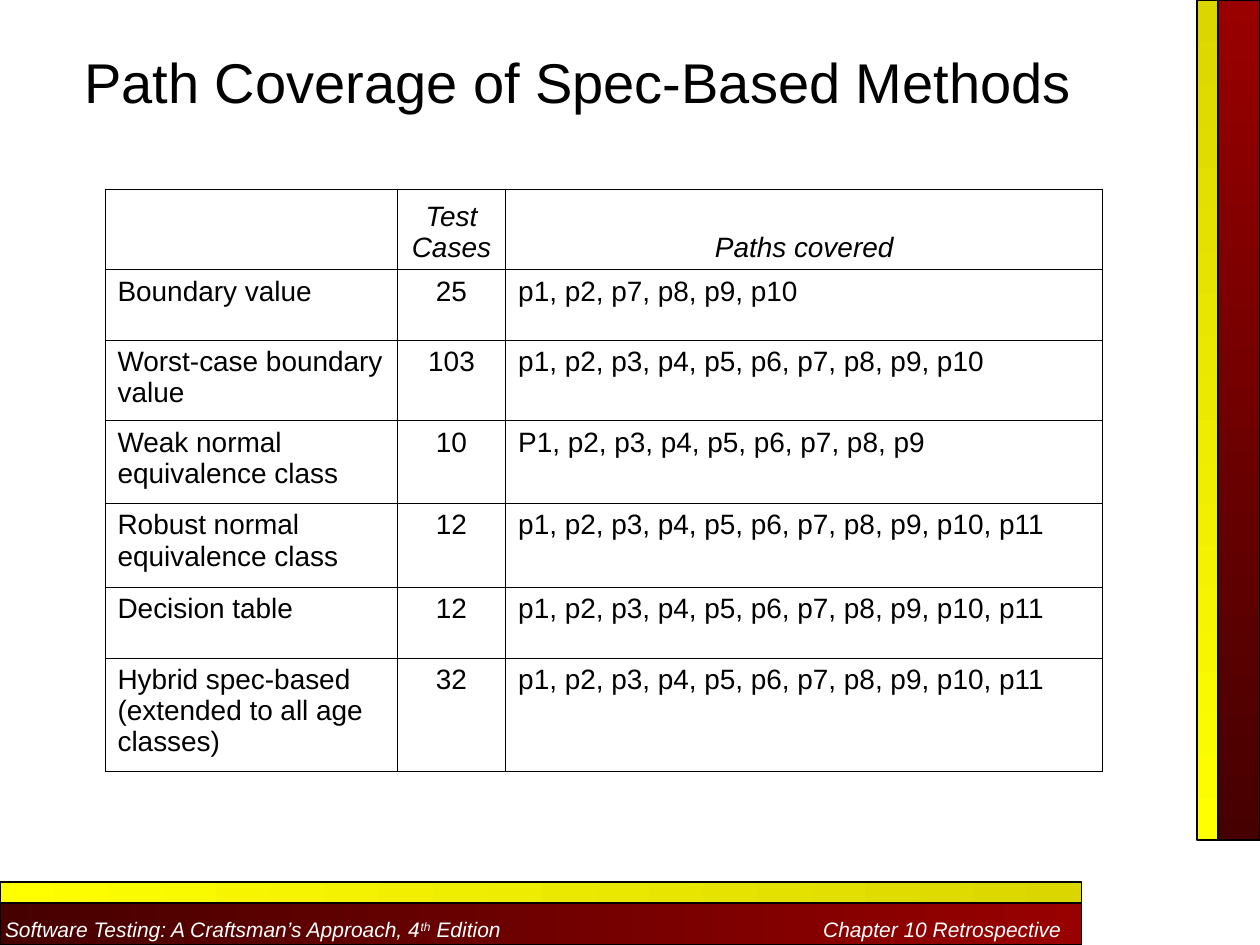
"""Build a slide with a table of path coverage by specification-based test method."""

from dataclasses import dataclass

import lxml.etree
import pptx
import pptx.dml.color
import pptx.enum.shapes
import pptx.enum.text
import pptx.oxml.ns
import pptx.util

RGBColor = pptx.dml.color.RGBColor
Align = pptx.enum.text.PP_ALIGN
Anchor = pptx.enum.text.MSO_ANCHOR
qn = pptx.oxml.ns.qn

BLACK = RGBColor(0x00, 0x00, 0x00)
WHITE = RGBColor(0xFF, 0xFF, 0xFF)
RED = RGBColor(0x99, 0x00, 0x00)
DARK_RED = RGBColor(0x46, 0x00, 0x00)
YELLOW = RGBColor(0xFF, 0xFF, 0x00)
OLIVE = RGBColor(0xDB, 0xD6, 0x00)

FONT = "Arial"
GRID_COLUMNS, GRID_ROWS = 60, 45
UNIT = pptx.util.Inches(10) // GRID_COLUMNS


@dataclass(frozen=True)
class Area:
    """A rectangle in grid columns and rows."""

    left: float
    top: float
    width: float
    height: float

    def lengths(self) -> list[int]:
        """Return left, top, width and height as slide lengths."""
        return [units(n) for n in (self.left, self.top, self.width, self.height)]


@dataclass(frozen=True)
class Bar:
    """A gradient bar running from one colour to another."""

    area: Area
    start: RGBColor
    end: RGBColor
    angle: int


@dataclass(frozen=True)
class Method:
    """A table row: test method, number of test cases and paths covered."""

    name: str
    cases: str
    paths: str
    height: float


def path_list(count: int) -> str:
    """Return the names of the first paths, separated by commas."""
    return ", ".join(f"p{n}" for n in range(1, count + 1))


SIDE_RED = Bar(Area(58, 0, 2, 40), RED, DARK_RED, 270)
FOOTER_RED = Bar(Area(0, 43, 51.5, 2), DARK_RED, RED, 0)
SIDE_YELLOW = Bar(Area(57, 0, 1, 40), OLIVE, YELLOW, 270)
FOOTER_YELLOW = Bar(Area(0, 42, 51.5, 1), YELLOW, OLIVE, 0)

TITLE_AREA = Area(3.42, 1.98, 48.24, 3.84)
FOOTER_TAB = 50.3
TABLE_LEFT, TABLE_TOP = 5, 9
COLUMN_WIDTHS = (13.92, 5.16, 28.44)
METHODS = (
    Method("", "Test Cases", "Paths covered", 3.84),
    Method("Boundary value", "25", "p1, p2, p7, p8, p9, p10", 3.36),
    Method("Worst-case boundary value", "103", path_list(10), 3.84),
    Method("Weak normal equivalence class", "10", path_list(9).replace("p", "P", 1), 3.94),
    Method("Robust normal equivalence class", "12", path_list(11), 4),
    Method("Decision table", "12", path_list(11), 3.36),
    Method("Hybrid spec-based (extended to all age classes)", "32", path_list(11), 5.4),
)


def units(count: float) -> int:
    """Turn grid units into a slide length."""
    return round(count * UNIT)


def write(para, text: str, *, size: float, color: RGBColor = BLACK,
          italic: bool = False, align=Align.LEFT, raised: bool = False) -> None:
    """Add a formatted span of text to a paragraph."""
    para.alignment = align
    span = para.add_run()
    span.text = text
    span.font.name = FONT
    span.font.size = pptx.util.Pt(size)
    span.font.italic = italic
    span.font.color.rgb = color
    if raised:
        span.font._element.set("baseline", "30000")


def add_bar(page, bar: Bar):
    """Draw a gradient bar and return its shape."""
    shape = page.shapes.add_shape(
        pptx.enum.shapes.MSO_SHAPE.RECTANGLE, *bar.area.lengths())
    shape.shadow.inherit = False
    shape.fill.gradient()
    shape.fill.gradient_angle = bar.angle
    for stop, color in zip(shape.fill.gradient_stops, (bar.start, bar.end)):
        stop.color.rgb = color
    shape.line.color.rgb = BLACK
    shape.line.width = pptx.util.Pt(0.75)
    return shape


def add_footer(page) -> None:
    """Draw the red footer with the book title and a right-aligned chapter name."""
    frame = add_bar(page, FOOTER_RED).text_frame
    frame.word_wrap = False
    frame.vertical_anchor = Anchor.MIDDLE
    frame.margin_left = pptx.util.Inches(0.04)
    frame.margin_top = pptx.util.Inches(0.08)
    frame.margin_right = frame.margin_bottom = 0
    para = frame.paragraphs[0]
    for text, raised in (("Software Testing: A Craftsman’s Approach, 4", False),
                         ("th", True), (" Edition\tChapter 10 Retrospective", False)):
        write(para, text, size=12, color=WHITE, italic=True, raised=raised)
    stops = lxml.etree.SubElement(para._p.get_or_add_pPr(), qn("a:tabLst"))
    lxml.etree.SubElement(stops, qn("a:tab"), pos=str(units(FOOTER_TAB)), algn="r")


def add_title(page, text: str) -> None:
    """Write the slide title."""
    frame = page.shapes.add_textbox(*TITLE_AREA.lengths()).text_frame
    frame.word_wrap = False
    write(frame.paragraphs[0], text, size=32)


def add_borders(cell) -> None:
    """Give a cell thin black borders and no fill."""
    properties = cell._tc.get_or_add_tcPr()
    for side in ("lnL", "lnR", "lnT", "lnB"):
        line = lxml.etree.SubElement(
            properties, qn(f"a:{side}"), w=str(pptx.util.Pt(0.45)))
        fill = lxml.etree.SubElement(line, qn("a:solidFill"))
        lxml.etree.SubElement(fill, qn("a:srgbClr"), val=str(BLACK))
    cell.fill.background()


def add_method_table(page) -> None:
    """Draw the table of methods, with an italic heading row."""
    area = Area(TABLE_LEFT, TABLE_TOP, sum(COLUMN_WIDTHS),
                sum(method.height for method in METHODS))
    table = page.shapes.add_table(
        len(METHODS), len(COLUMN_WIDTHS), *area.lengths()).table
    table.first_row = table.horz_banding = False
    for column, width in zip(table.columns, COLUMN_WIDTHS):
        column.width = units(width)
    for index, method in enumerate(METHODS):
        heading = index == 0
        table.rows[index].height = units(method.height)
        for place, text in enumerate((method.name, method.cases, method.paths)):
            cell = table.cell(index, place)
            add_borders(cell)
            cell.vertical_anchor = Anchor.BOTTOM if heading else Anchor.TOP
            if text:
                write(cell.text_frame.paragraphs[0], text, size=16, italic=heading,
                      align=Align.CENTER if heading or place == 1 else Align.LEFT)


def main() -> None:
    """Build and save the deck."""
    deck = pptx.Presentation()
    deck.slide_width = units(GRID_COLUMNS)
    deck.slide_height = units(GRID_ROWS)
    page = deck.slides.add_slide(deck.slide_layouts[6])
    add_bar(page, SIDE_RED)
    add_footer(page)
    add_bar(page, SIDE_YELLOW)
    add_bar(page, FOOTER_YELLOW)
    add_method_table(page)
    add_title(page, "Path Coverage of Spec-Based Methods")
    deck.save("out.pptx")


if __name__ == "__main__":
    main()
